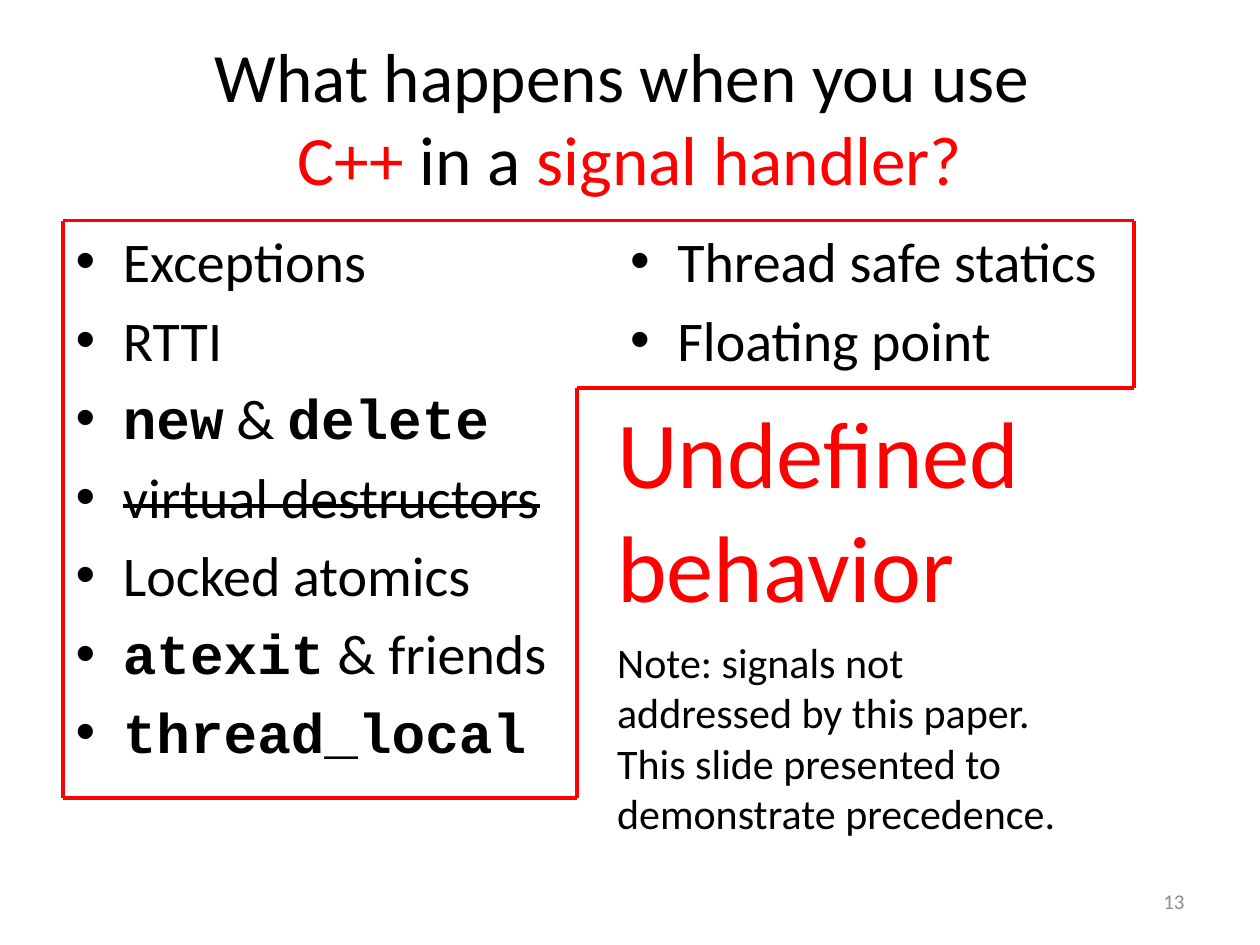
import pptx
import pptx.util
import pptx.dml.color
import pptx.enum.text
import pptx.enum.shapes
from pptx.oxml.ns import qn
import lxml.etree

Inches, Pt = pptx.util.Inches, pptx.util.Pt
RGB = pptx.dml.color.RGBColor.from_string
ALIGN = pptx.enum.text.PP_ALIGN
ANCHOR = pptx.enum.text.MSO_ANCHOR
FIT = pptx.enum.text.MSO_AUTO_SIZE

theme = {
    "ink": RGB("000000"), "accent": RGB("FF0000"), "muted": RGB("8C8C8C"),
    "sans": "Calibri", "mono": "Courier New",
    "title": Pt(39.6), "list": Pt(32), "verdict": Pt(54), "note": Pt(24), "number": Pt(12),
    "rule": Pt(2.25),
}


def add_run(p, text, size, color="ink", font="sans", bold=False):
    r = p.add_run()
    r.text = text
    for name, value in {"size": theme[size], "name": theme[font], "bold": bold}.items():
        setattr(r.font, name, value)
    r.font.color.rgb = theme[color]
    return r


def place(sp, box, **frame):
    for name, value in zip(("left", "top", "width", "height"), box):
        setattr(sp, name, Inches(value))
    for name, value in {"word_wrap": True, **frame}.items():
        setattr(sp.text_frame, name, value)
    return sp.text_frame


prs = pptx.Presentation()
prs.slide_width, prs.slide_height = Inches(10), Inches(7.5)
s = prs.slides.add_slide(prs.slide_layouts[1])

# Title
tf = place(s.shapes.title, (0.5, 0.3, 9, 1.25),
           auto_size=FIT.NONE, vertical_anchor=ANCHOR.MIDDLE)
p = tf.paragraphs[0]
p.alignment = ALIGN.CENTER
add_run(p, "What happens when you use ", "title")
p.add_line_break()
for text, color in (("C++", "accent"), (" in a ", "ink"), ("signal handler?", "accent")):
    add_run(p, text, "title", color)

# Two-column list of features: (text, style) runs
features = [
    [("Exceptions", "")],
    [("RTTI", "")],
    [("new", "code"), (" & ", ""), ("delete", "code")],
    [("virtual destructors", "struck")],
    [("Locked atomics", "")],
    [("atexit", "code"), (" & friends", "")],
    [("thread_local", "code")],
    [("Thread safe statics", "")],
    [("Floating point", "")],
]
tf = place(s.placeholders[1], (0.5, 1.75, 9, 4.95), auto_size=FIT.NONE)
tf._txBody.bodyPr.set("numCol", "2")
for i, feature in enumerate(features):
    p = tf.add_paragraph() if i else tf.paragraphs[0]
    for text, style in feature:
        code = style == "code"
        r = add_run(p, text, "list", font="mono" if code else "sans", bold=code)
        if style == "struck":
            r._r.get_or_add_rPr().set("strike", "sngStrike")

# Verdict, note and slide number
texts = [
    ("Undefined behavior", (4.8, 3.08, 4.67, 1.92), "verdict", "accent", ALIGN.LEFT,
     {"auto_size": FIT.SHAPE_TO_FIT_TEXT}),
    ("Note: signals not addressed by this paper. This slide presented to demonstrate precedence.",
     (4.8, 5, 3.87, 1.72), "note", "ink", ALIGN.LEFT, {"auto_size": FIT.SHAPE_TO_FIT_TEXT}),
    ("13", (7.17, 6.95, 2.33, 0.4), "number", "muted", ALIGN.RIGHT,
     {"vertical_anchor": ANCHOR.MIDDLE}),
]
for text, box, size, color, align, frame in texts:
    tf = place(s.shapes.add_textbox(0, 0, 0, 0), box, **frame)
    p = tf.paragraphs[0]
    p.alignment = align
    add_run(p, text, size, color)

# L-shaped outline around the list
corners = [(0.5, 1.75), (9, 1.75), (9, 3.08), (4.58, 3.08), (4.58, 6.33), (0.5, 6.33)]
for start, end in zip(corners, corners[1:] + corners[:1]):
    line = s.shapes.add_connector(pptx.enum.shapes.MSO_CONNECTOR.STRAIGHT,
                                  *(Inches(v) for v in start + end))
    line.line.color.rgb = theme["accent"]
    line.line.width = theme["rule"]
    lxml.etree.SubElement(line._element.spPr, qn("a:effectLst"))

prs.save("out.pptx")
